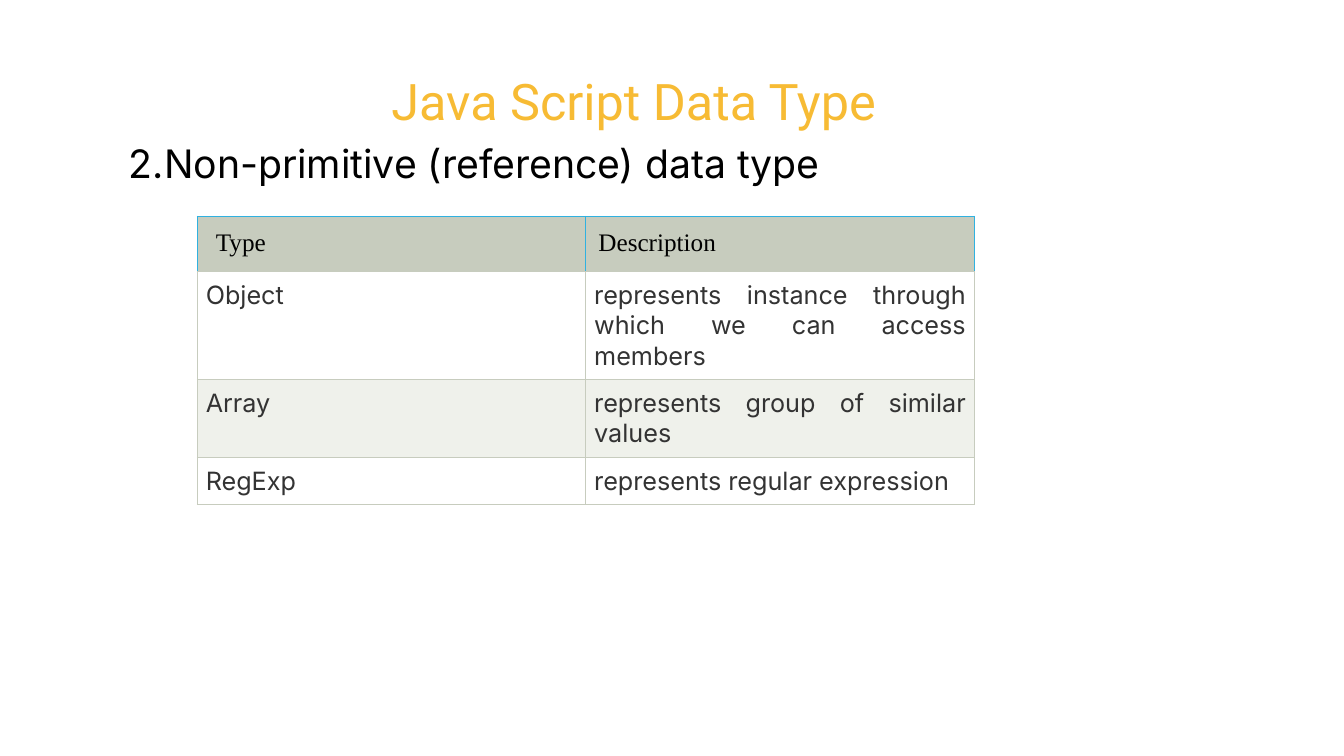
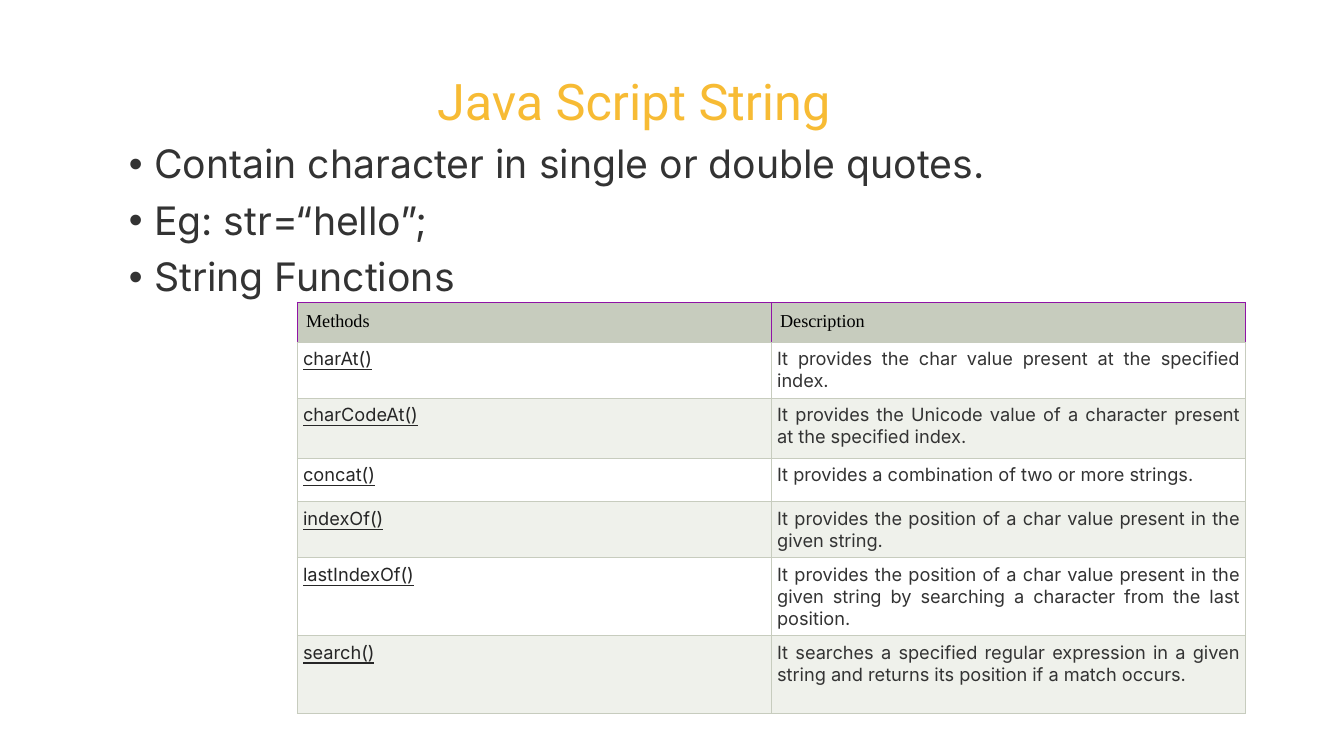
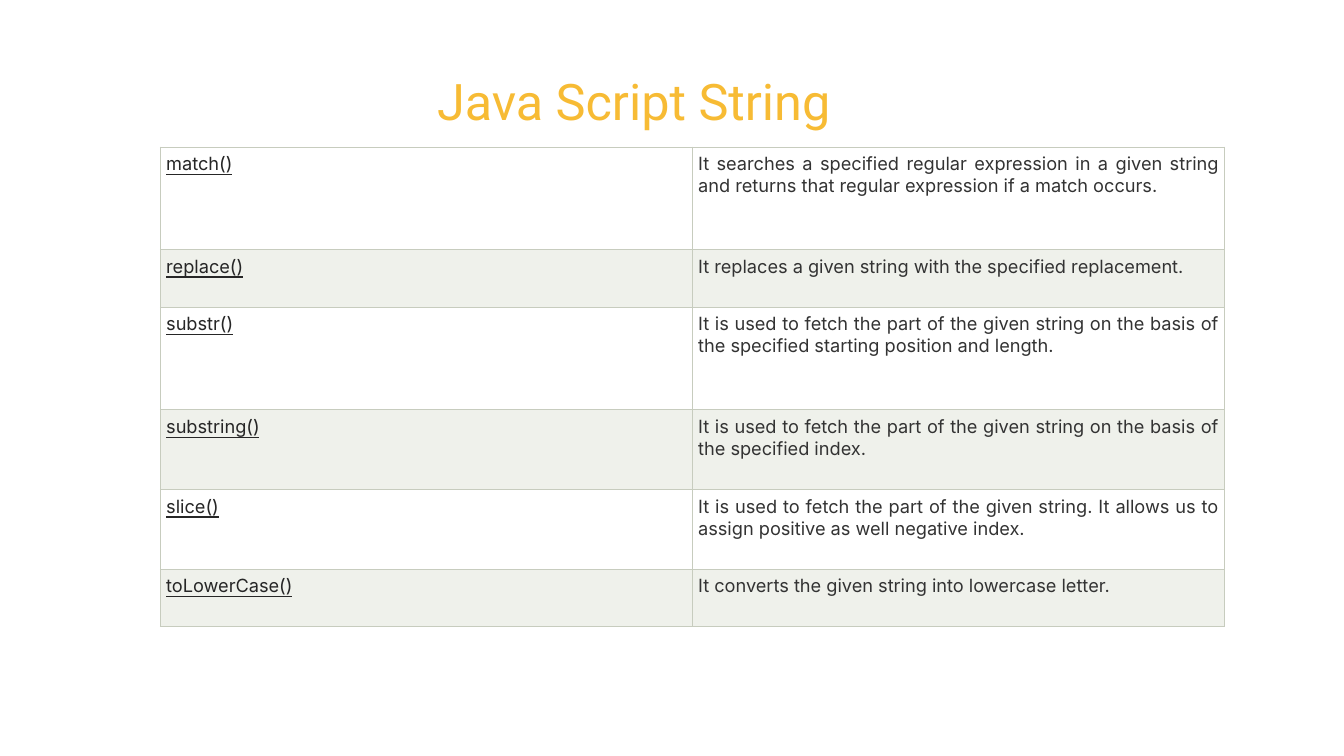
from dataclasses import dataclass

from lxml.etree import SubElement
from pptx import Presentation
from pptx.dml.color import RGBColor
from pptx.enum.text import MSO_ANCHOR, MSO_AUTO_SIZE, PP_ALIGN
from pptx.oxml.ns import qn
from pptx.util import Pt


@dataclass(frozen=True)
class Theme:
    # Colours
    gold: str = "F7BB34"
    black: str = "000000"
    text: str = "333333"
    method: str = "262626"
    white: str = "FFFFFF"
    sage: str = "C7CCBE"
    pale_sage: str = "EFF1EB"
    blue: str = "30B1E0"
    purple: str = "9013A6"
    # Fonts and sizes
    title_font: str = "Roboto"
    body_font: str = "Inter"
    header_font: str = "Times New Roman"
    title_size: float = 36
    body_size: float = 28
    large_cell: float = 18
    small_cell: float = 13
    # Lines and spacing
    border: float = 0.75
    line_spacing: float = 0.9
    bullet_indent: float = 18


class SlideBuilder:
    def __init__(self, theme):
        self.theme = theme
        self.deck = Presentation()
        self.deck.slide_width, self.deck.slide_height = Pt(960), Pt(540)
        self.slide = None

    def style(self, para, font, size, color, underline=False):
        for span in para.runs:
            span.font.name = font
            span.font.size = Pt(size)
            span.font.color.rgb = RGBColor.from_string(color)
            span.font.underline = underline

    def set_margins(self, target, margin):
        target.margin_left = target.margin_right = Pt(margin)
        target.margin_top = target.margin_bottom = Pt(margin)

    def page(self, title):
        theme = self.theme
        self.slide = self.deck.slides.add_slide(self.deck.slide_layouts[5])
        box = self.slide.shapes.title
        box.left, box.top, box.width, box.height = Pt(46), Pt(47.5), Pt(813.5), Pt(54)
        box.fill.solid()
        box.fill.fore_color.rgb = RGBColor.from_string(theme.white)
        frame = box.text_frame
        frame.text = title
        frame.word_wrap = True
        frame.auto_size = MSO_AUTO_SIZE.NONE
        frame.vertical_anchor = MSO_ANCHOR.MIDDLE
        self.set_margins(frame, 9.4)
        para = frame.paragraphs[0]
        para.alignment = PP_ALIGN.CENTER
        para.line_spacing = theme.line_spacing
        self.style(para, theme.title_font, theme.title_size, theme.gold)

    def body(self, lines, color, bullets=False):
        theme = self.theme
        box = self.slide.shapes.add_textbox(Pt(85), Pt(100), Pt(780), Pt(348))
        frame = box.text_frame
        frame.word_wrap = True
        frame.text = "\n".join(lines)
        for para in frame.paragraphs:
            para.alignment = PP_ALIGN.LEFT if bullets else PP_ALIGN.JUSTIFY
            para.line_spacing = theme.line_spacing
            para.space_before = Pt(10)
            self.style(para, theme.body_font, theme.body_size, color)
            if bullets:
                self.bullet(para)

    def bullet(self, para):
        properties = para._p.get_or_add_pPr()
        indent = Pt(self.theme.bullet_indent)
        properties.set("marL", str(indent))
        properties.set("indent", str(-indent))
        SubElement(properties, qn("a:buFont"), typeface="Arial")
        SubElement(properties, qn("a:buChar"), char="•")

    def borders(self, cell, side_color, bottom_color):
        properties = cell._tc.get_or_add_tcPr()
        colors = {"L": side_color, "R": side_color, "T": side_color, "B": bottom_color}
        for side, color in colors.items():
            line = SubElement(properties, qn(f"a:ln{side}"), w=str(Pt(self.theme.border)))
            SubElement(SubElement(line, qn("a:solidFill")), qn("a:srgbClr"), val=color)

    def table(self, left, top, column_width, heights, rows, size, padding,
              header_line=None, underline_first=False):
        """Two equal columns; header_line is the header's border colour, if it has a header."""
        theme = self.theme
        frame = self.slide.shapes.add_table(
            len(rows), 2, Pt(left), Pt(top), Pt(2 * column_width), Pt(sum(heights)))
        table = frame.table
        table.first_row = table.horz_banding = False
        for column in table.columns:
            column.width = Pt(column_width)
        first_body_row = 1 if header_line else 0
        for row_index, (height, texts) in enumerate(zip(heights, rows)):
            table.rows[row_index].height = Pt(height)
            is_header = row_index < first_body_row
            banded = (row_index - first_body_row) % 2 == 1
            for column_index, text in enumerate(texts):
                cell = table.cell(row_index, column_index)
                cell.text = text
                para = cell.text_frame.paragraphs[0]
                if is_header:
                    fill, line, margin = theme.sage, header_line, padding * 1.5
                    para.alignment = PP_ALIGN.LEFT
                    self.style(para, theme.header_font, size, theme.black)
                else:
                    fill = theme.pale_sage if banded else theme.white
                    line, margin = theme.sage, padding
                    para.alignment = PP_ALIGN.JUSTIFY
                    underlined = underline_first and column_index == 0
                    color = theme.method if underlined else theme.text
                    self.style(para, theme.body_font, size, color, underlined)
                self.set_margins(cell, margin)
                self.borders(cell, line, theme.sage)
                cell.fill.solid()
                cell.fill.fore_color.rgb = RGBColor.from_string(fill)


def main():
    theme = Theme()
    builder = SlideBuilder(theme)

    # Reference data types
    builder.page("Java Script Data Type")
    builder.body(["2.Non-primitive (reference) data type"], theme.black)
    builder.table(
        141, 154.5, 277.5, [37.8, 77.2, 55.6, 33.6],
        [(" Type", "Description"),
         ("Object", "represents instance through which we can access members"),
         ("Array", "represents group of similar values"),
         ("RegExp", "represents regular expression")],
        theme.large_cell, 6, header_line=theme.blue)

    # String functions, first part
    builder.page("Java Script String")
    builder.body(["Contain character in single or double quotes.",
                  "Eg: str=“hello”;",
                  "String Functions"], theme.text, bullets=True)
    builder.table(
        212.3, 216, 338.6, [27.2, 40, 43, 31.2, 40, 55.6, 55.4],
        [("Methods", "Description"),
         ("charAt()", "It provides the char value present at the specified index."),
         ("charCodeAt()", "It provides the Unicode value of a character present at the "
                          "specified index."),
         ("concat()", "It provides a combination of two or more strings."),
         ("indexOf()", "It provides the position of a char value present in the given string."),
         ("lastIndexOf()", "It provides the position of a char value present in the given "
                           "string by searching a character from the last position."),
         ("search()", "It searches a specified regular expression in a given string and "
                      "returns its position if a match occurs.")],
        theme.small_cell, 4.25, header_line=theme.purple, underline_first=True)

    # String functions, second part
    builder.page("Java Script String")
    builder.table(
        114.5, 105, 380, [73.4, 41, 73.4, 57, 57, 41],
        [("match()", "It searches a specified regular expression in a given string and "
                     "returns that regular expression if a match occurs."),
         ("replace()", "It replaces a given string with the specified replacement."),
         ("substr()", "It is used to fetch the part of the given string on the basis of "
                      "the specified starting position and length."),
         ("substring()", "It is used to fetch the part of the given string on the basis of "
                         "the specified index."),
         ("slice()", "It is used to fetch the part of the given string. It allows us to "
                     "assign positive as well negative index."),
         ("toLowerCase()", "It converts the given string into lowercase letter.")],
        theme.small_cell, 4.25, underline_first=True)

    builder.deck.save("out.pptx")


if __name__ == "__main__":
    main()
